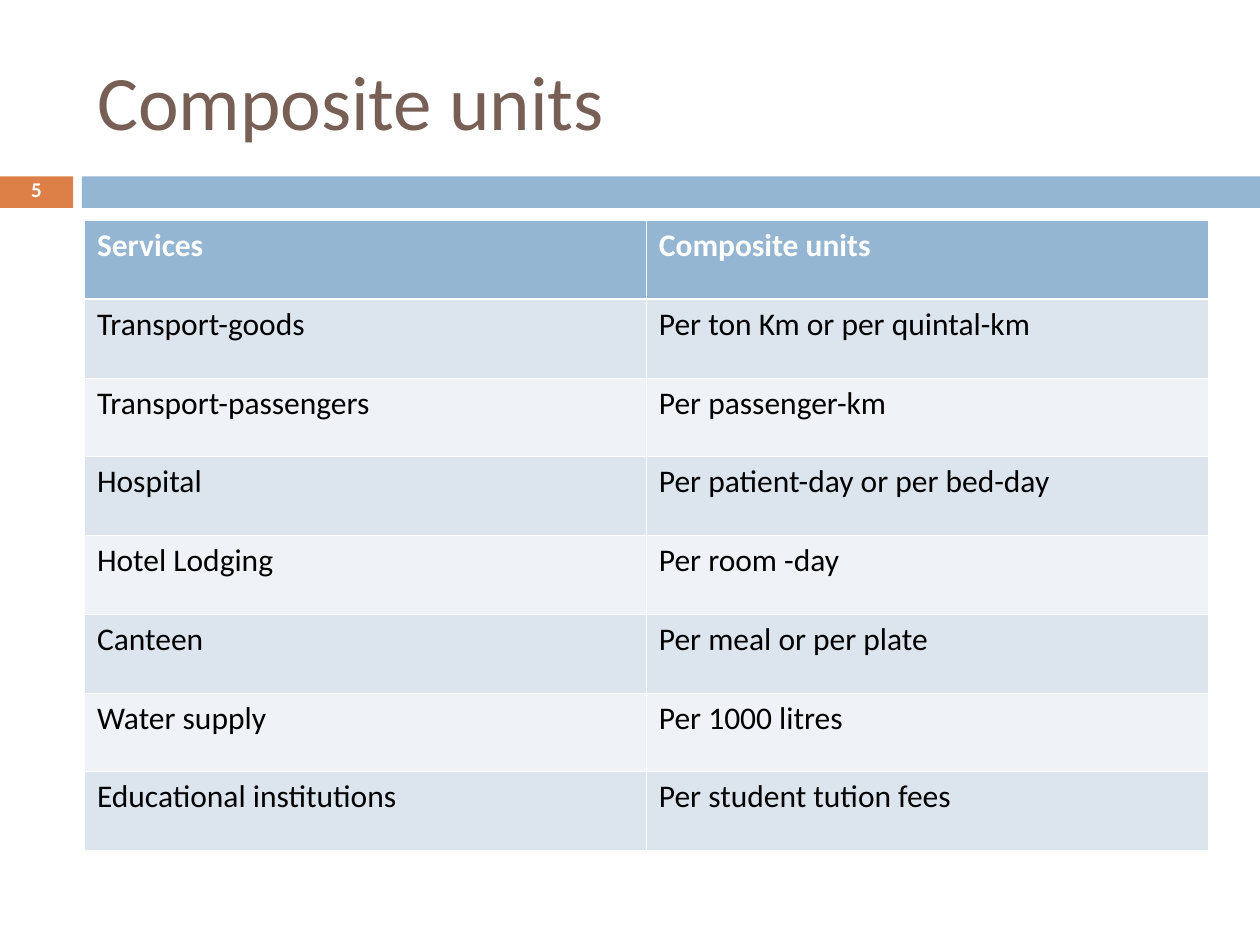
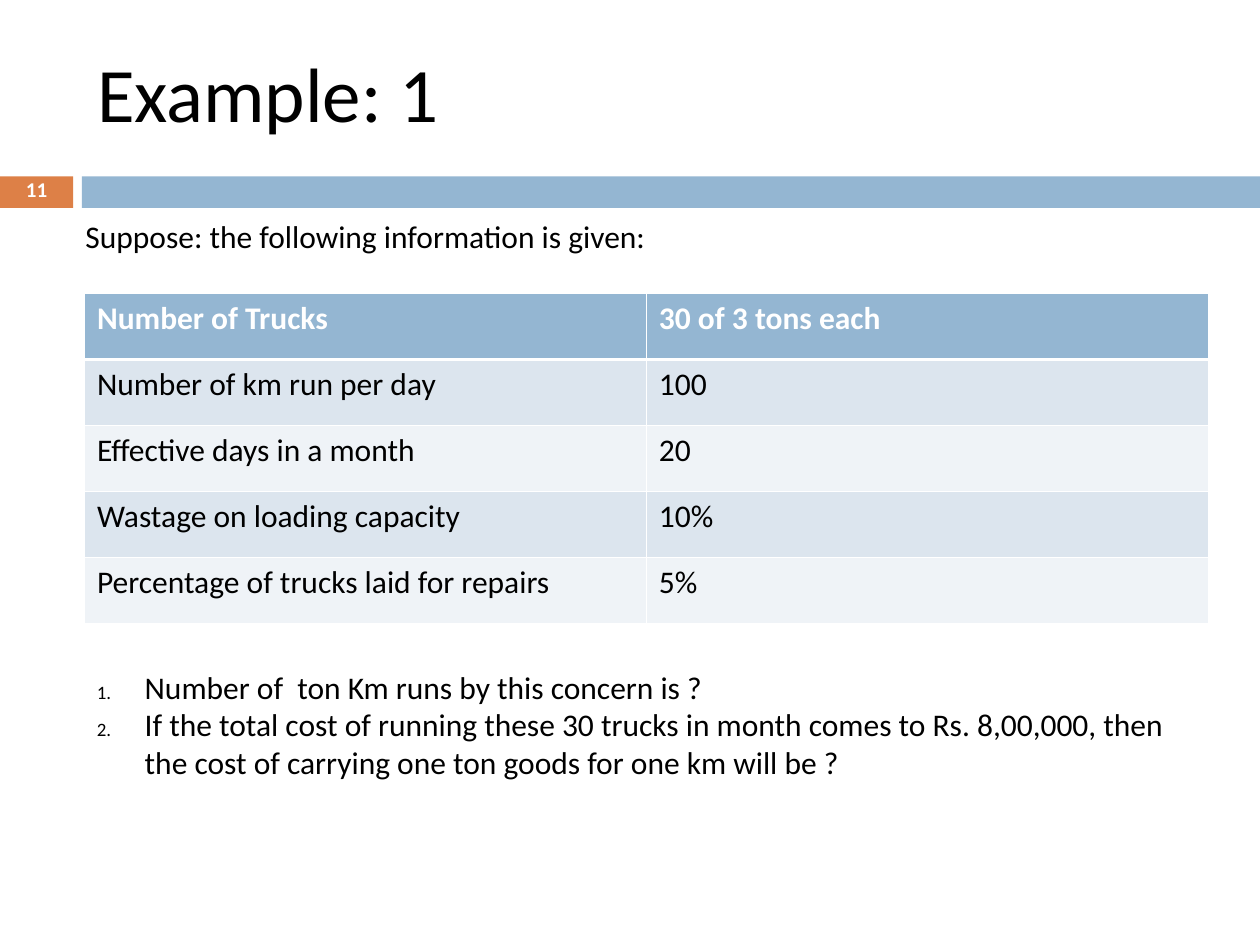
from dataclasses import dataclass

from lxml.etree import SubElement
from pptx import Presentation
from pptx.dml.color import RGBColor
from pptx.enum.shapes import MSO_SHAPE as Shape
from pptx.enum.text import MSO_ANCHOR as Anchor, MSO_AUTO_SIZE as AutoSize, PP_ALIGN as Align
from pptx.oxml.ns import qn
from pptx.util import Inches, Pt

# Shared look
FONT = "Calibri"
WHITE, BLACK, BROWN = "FFFFFF", "000000", "775F55"
BLUE, ORANGE = "94B6D2", "DD8047"
ROW_DARK, ROW_LIGHT = "DCE5EE", "EFF3F7"
LEFT, WIDTH = 0.67, 8.92
THIN, THICK = 0.45, 1.47


@dataclass
class Box:
    left: float
    top: float
    width: float
    height: float

    def lengths(self) -> list:
        return [Inches(v) for v in (self.left, self.top, self.width, self.height)]


@dataclass
class Band:
    box: Box
    color: str


@dataclass
class Lesson:
    title: str
    title_top: float
    title_color: str
    number: int
    table_top: float
    table_height: float
    rows: list[tuple[str, str]]


BANDS = [Band(Box(0, 1.4, 0.58, 0.25), ORANGE), Band(Box(0.65, 1.4, 9.35, 0.25), BLUE)]

UNITS = Lesson("Composite units", 0.25, BROWN, 5, 1.75, 5, [
    ("Services", "Composite units"),
    ("Transport-goods", "Per ton Km or per quintal-km"),
    ("Transport-passengers", "Per passenger-km"),
    ("Hospital", "Per patient-day or per bed-day"),
    ("Hotel Lodging", "Per room -day"),
    ("Canteen", "Per meal or per plate"),
    ("Water supply", "Per 1000 litres"),
    ("Educational institutions", "Per student tution fees"),
])
EXAMPLE = Lesson("Example: 1", 0.19, BLACK, 11, 2.33, 2.62, [
    ("Number of Trucks", "30 of 3 tons each"),
    ("Number of km run per day", "100"),
    ("Effective days in a month", "20"),
    ("Wastage on loading capacity", "10%"),
    ("Percentage of trucks laid for repairs", "5%"),
])
QUESTIONS = [
    "Number of  ton Km runs by this concern is ?",
    "If the total cost of running these 30 trucks in month comes to Rs. 8,00,000, "
    "then the cost of carrying one ton goods for one km will be ?",
]


def rgb(color: str) -> RGBColor:
    return RGBColor.from_string(color)


def style(paragraph, size: float, color: str, bold: bool = False) -> None:
    for run in paragraph.runs:
        run.font.name, run.font.size, run.font.bold = FONT, Pt(size), bold
        run.font.color.rgb = rgb(color)


def add_text(slide, box: Box, lines: list[str], size: float = 18,
             color: str = BLACK, bold: bool = False):
    frame = slide.shapes.add_textbox(*box.lengths()).text_frame
    frame.word_wrap = True
    frame.text = "\n".join(lines)
    for paragraph in frame.paragraphs:
        style(paragraph, size, color, bold)
    return frame


def number_lines(frame) -> None:
    for paragraph in frame.paragraphs:
        props = paragraph._p.get_or_add_pPr()
        props.set("marL", str(Inches(0.38)))
        props.set("indent", str(-Inches(0.38)))
        bullet_color = SubElement(props, qn("a:buClr"))
        SubElement(bullet_color, qn("a:srgbClr"), val=BLACK)
        SubElement(props, qn("a:buSzPct"), val="60000")
        SubElement(props, qn("a:buFont"), typeface=FONT)
        SubElement(props, qn("a:buAutoNum"), type="arabicPeriod")


def add_borders(cell, top: float, bottom: float) -> None:
    props = cell._tc.get_or_add_tcPr()
    for side, width in (("lnL", THIN), ("lnR", THIN), ("lnT", top), ("lnB", bottom)):
        line = SubElement(props, qn(f"a:{side}"), w=str(Pt(width)))
        fill = SubElement(line, qn("a:solidFill"))
        SubElement(fill, qn("a:srgbClr"), val=WHITE)


def add_banded_table(slide, lesson: Lesson) -> None:
    count = len(lesson.rows)
    box = Box(LEFT, lesson.table_top, WIDTH, lesson.table_height)
    table = slide.shapes.add_table(count, 2, *box.lengths()).table
    for r, texts in enumerate(lesson.rows):
        table.rows[r].height = Inches(lesson.table_height / count)
        header = r == 0
        fill = BLUE if header else ROW_DARK if r % 2 else ROW_LIGHT
        for c, text in enumerate(texts):
            cell = table.cell(r, c)
            cell.text_frame.text = text
            style(cell.text_frame.paragraphs[0], 18, WHITE if header else BLACK, header)
            add_borders(cell, THICK if r == 1 else THIN, THICK if header else THIN)
            cell.fill.solid()
            cell.fill.fore_color.rgb = rgb(fill)


def add_lesson(deck, lesson: Lesson):
    slide = deck.slides.add_slide(deck.slide_layouts[5])
    # Bands
    for band in BANDS:
        bar = slide.shapes.add_shape(Shape.RECTANGLE, *band.box.lengths())
        bar.shadow.inherit = False
        bar.fill.solid()
        bar.fill.fore_color.rgb = rgb(band.color)
        bar.line.fill.background()
    # Title
    title = slide.shapes.title
    title.left, title.top, title.width, title.height = Box(
        LEFT, lesson.title_top, WIDTH, 1.08).lengths()
    title.text_frame.text = lesson.title
    title.text_frame.auto_size = AutoSize.NONE
    title.text_frame.vertical_anchor = Anchor.MIDDLE
    heading = title.text_frame.paragraphs[0]
    heading.alignment = Align.LEFT
    style(heading, 44, lesson.title_color)
    # Slide number
    number = add_text(slide, Box(0, 1.39, 0.58, 0.27), [str(lesson.number)], 12, WHITE, True)
    number.vertical_anchor = Anchor.MIDDLE
    number.paragraphs[0].alignment = Align.CENTER
    number.paragraphs[0].line_spacing = 0.7
    add_banded_table(slide, lesson)
    return slide


def main() -> None:
    deck = Presentation()
    deck.slide_width, deck.slide_height = Inches(10), Inches(7.5)
    add_lesson(deck, UNITS)
    example = add_lesson(deck, EXAMPLE)
    # Introduction and questions around the example table
    add_text(example, Box(0.58, 1.67, 8.17, 0.7),
             ["Suppose: the following information is given:"])
    number_lines(add_text(example, Box(LEFT, 5.25, WIDTH, 1), QUESTIONS))
    deck.save("out.pptx")


if __name__ == "__main__":
    main()
